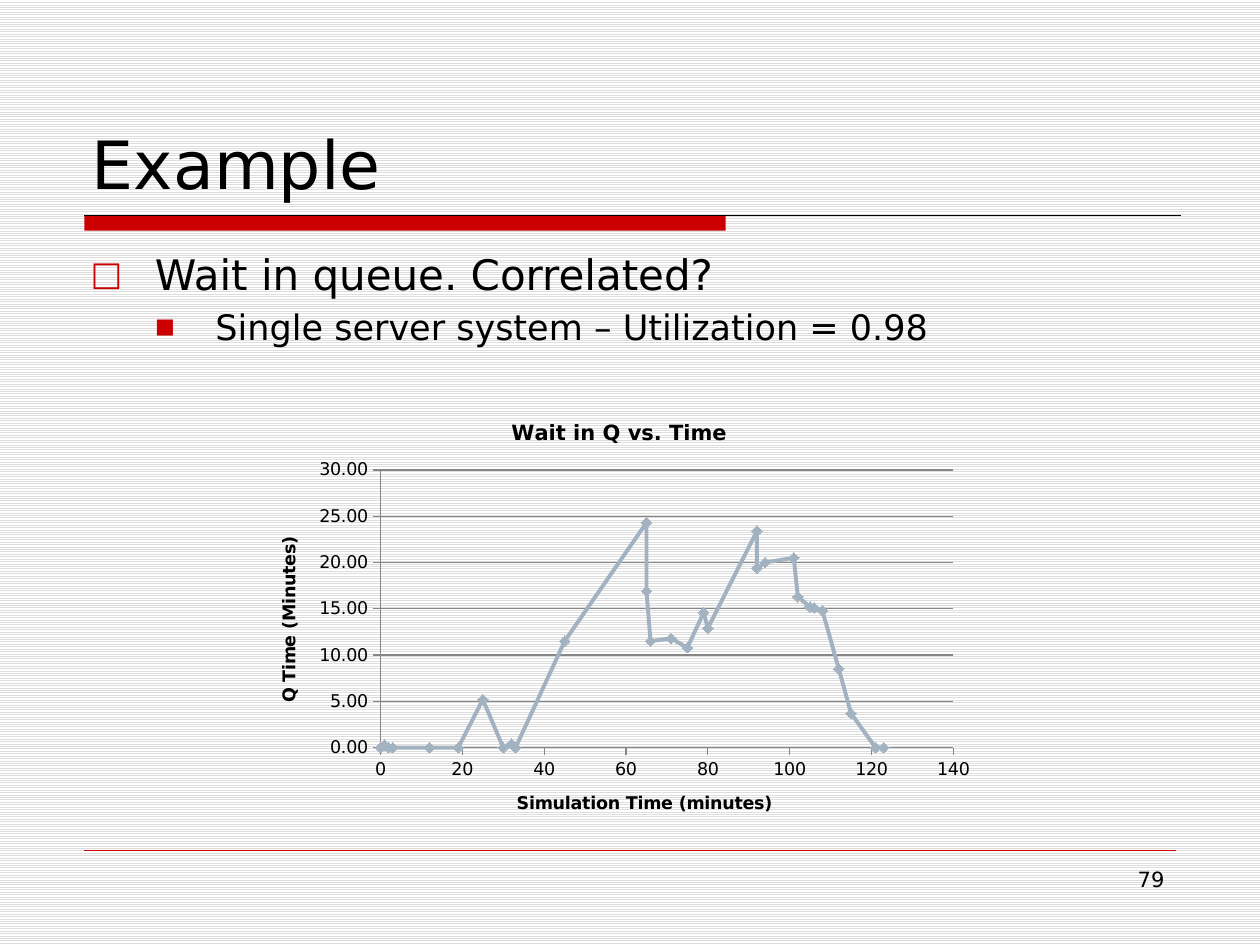
from dataclasses import dataclass
from lxml.etree import SubElement as Sub
from pptx import Presentation
from pptx.chart.data import XyChartData
from pptx.dml.color import RGBColor as RGB
from pptx.enum.chart import XL_CHART_TYPE as Kind, XL_MARKER_STYLE as Mark, XL_TICK_MARK as Tick
from pptx.enum.dml import MSO_PATTERN as Pattern
from pptx.enum.shapes import MSO_CONNECTOR as Conn, MSO_SHAPE as Shape
from pptx.enum.text import MSO_ANCHOR as Anchor, MSO_AUTO_SIZE as Fit, PP_ALIGN as Align
from pptx.oxml.ns import qn
from pptx.util import Inches, Pt


@dataclass(frozen=True)
class Theme:
    font: str = "DejaVu Sans"
    ink: RGB = RGB(0, 0, 0)
    red: RGB = RGB(0xCC, 0, 0)
    grid: RGB = RGB(0x86, 0x86, 0x86)
    curve: RGB = RGB(0xA3, 0xB2, 0xC1)
    paper: RGB = RGB(255, 255, 255)
    stripe: RGB = RGB(0xDD, 0xDD, 0xDD)
    title: int = 38
    levels: tuple = (24, 20)
    head: int = 12
    small: int = 10


theme = Theme()

ITEMS = [
    ("Wait in queue. Correlated?", "□", 80, 0.51, 0.51),
    ("Single server system – Utilization = 0.98", "■", 60, 0.99, 0.48),
]
TIMES = [0, 1, 2, 3, 12, 19, 25, 30, 32, 33, 45, 65, 65, 66, 71,
         75, 79, 80, 92, 92, 94, 101, 102, 105, 106, 108, 112, 115, 121, 123]
WAITS = [0, 0.3, 0, 0, 0, 0, 5.2, 0, 0.4, 0, 11.5, 24.3, 16.9, 11.5, 11.8,
         10.8, 14.6, 12.9, 23.4, 19.4, 20, 20.5, 16.3, 15.2, 15.1, 14.8, 8.5, 3.7, 0, 0]


def style(font, size, bold=False):
    font.name, font.size, font.bold = theme.font, Pt(size), bold
    font.color.rgb = theme.ink


def place(shape, *box):
    shape.left, shape.top, shape.width, shape.height = map(Inches, box)


def write(para, text, size, align=Align.LEFT):
    para.text = text
    para.alignment = align
    style(para.runs[0].font, size)


def add_rule(slide, left, right, top, color, width):
    line = slide.shapes.add_connector(
        Conn.STRAIGHT, Inches(left), Inches(top), Inches(right), Inches(top))
    line.line.color.rgb = color
    line.line.width = Pt(width)
    Sub(line._element.spPr, qn("a:effectLst"))


def add_bar(slide, *box):
    bar = slide.shapes.add_shape(Shape.RECTANGLE, *map(Inches, box))
    bar.shadow.inherit = False
    bar.fill.solid()
    bar.fill.fore_color.rgb = theme.red
    bar.line.fill.background()


def set_title(slide, text):
    title = slide.shapes.title
    place(title, 0.63, 0.33, 8.75, 1.33)
    frame = title.text_frame
    frame.auto_size = Fit.NONE
    frame.vertical_anchor = Anchor.BOTTOM
    write(frame.paragraphs[0], text, theme.title)


def set_bullet(para, char, scale, left, hang):
    props = para._p.get_or_add_pPr()
    props.set("marL", str(Inches(left)))
    props.set("indent", str(-Inches(hang)))
    Sub(Sub(props, qn("a:buClr")), qn("a:srgbClr"), val=str(theme.red))
    Sub(props, qn("a:buSzPct"), val=str(scale * 1000))
    Sub(props, qn("a:buFont"), typeface=theme.font)
    Sub(props, qn("a:buChar"), char=char)


def set_list(slide, items):
    body = slide.placeholders[1]
    place(body, 0.62, 1.92, 8.75, 4.67)
    frame = body.text_frame
    frame.auto_size = Fit.NONE
    frame.vertical_anchor = Anchor.TOP
    for level, (text, *mark) in enumerate(items):
        para = frame.add_paragraph() if level else frame.paragraphs[0]
        size = theme.levels[level]
        write(para, text, size)
        para.level = level
        para.space_before = Pt(size * 0.2)
        set_bullet(para, *mark)


def add_number(slide, text):
    box = slide.shapes.add_textbox(*map(Inches, (7.17, 6.83, 2.17, 0.52)))
    box.text_frame.word_wrap = True
    write(box.text_frame.paragraphs[0], text, theme.head, Align.RIGHT)


def name(part, text, size):
    para = part.text_frame.paragraphs[0]
    para.text = text
    style(para.runs[0].font, size, True)


def set_axis(axis, title, top, step, form, grid):
    name(axis.axis_title, title, theme.small)
    axis.minimum_scale, axis.maximum_scale, axis.major_unit = 0, top, step
    axis.major_tick_mark, axis.minor_tick_mark = Tick.OUTSIDE, Tick.NONE
    axis.tick_labels.number_format = form
    axis.tick_labels.number_format_is_linked = False
    style(axis.tick_labels.font, theme.small)
    axis.has_major_gridlines = grid
    lines = [axis.format.line]
    if grid:
        lines.append(axis.major_gridlines.format.line)
    for line in lines:
        line.color.rgb = theme.grid
        line.width = Pt(0.75)


def set_plot(chart, **box):
    area = chart._chartSpace.chart.plotArea
    for old in area.findall(qn("c:layout")):
        area.remove(old)
    frame = area.makeelement(qn("c:layout"))
    area.insert(0, frame)
    manual = Sub(frame, qn("c:manualLayout"))
    Sub(manual, qn("c:layoutTarget"), val="inner")
    for key in ("xMode", "yMode"):
        Sub(manual, qn("c:" + key), val="edge")
    for key, val in box.items():
        Sub(manual, qn("c:" + key), val=str(val))


def add_curve(slide):
    data = XyChartData()
    series = data.add_series("Series 1")
    for time, wait in zip(TIMES, WAITS):
        series.add_data_point(time, wait)
    box = map(Inches, (2, 3.17, 5.83, 3.5))
    chart = slide.shapes.add_chart(Kind.XY_SCATTER_SMOOTH, *box, data).chart
    style(chart.font, theme.small)
    chart.has_legend = False
    chart.has_title = True
    name(chart.chart_title, "Wait in Q vs. Time", theme.head)
    set_axis(chart.category_axis, "Simulation Time (minutes)", 140, 20, "0", False)
    set_axis(chart.value_axis, "Q Time (Minutes)", 30, 5, "0.00", True)
    set_plot(chart, x=0.175, y=0.16, w=0.78, h=0.63)
    plot = chart.plots[0]
    plot.vary_by_categories = False
    curve = plot.series[0]
    curve.smooth = True
    curve.format.line.color.rgb = theme.curve
    curve.format.line.width = Pt(2.25)
    mark = curve.marker
    mark.style, mark.size = Mark.DIAMOND, 6
    mark.format.fill.solid()
    mark.format.fill.fore_color.rgb = theme.curve
    mark.format.line.color.rgb = theme.curve


def main():
    deck = Presentation()
    deck.slide_width, deck.slide_height = Inches(10), Inches(7.5)
    slide = deck.slides.add_slide(deck.slide_layouts[1])
    back = slide.background.fill
    back.patterned()
    back.pattern = Pattern.LIGHT_HORIZONTAL
    back.fore_color.rgb, back.back_color.rgb = theme.stripe, theme.paper
    add_bar(slide, 0.67, 1.71, 5.09, 0.12)
    add_rule(slide, 0.67, 9.37, 1.71, theme.ink, 0.75)
    add_rule(slide, 0.67, 9.33, 6.75, theme.red, 0.25)
    set_title(slide, "Example")
    set_list(slide, ITEMS)
    add_number(slide, "79")
    add_curve(slide)
    deck.save("out.pptx")


if __name__ == "__main__":
    main()
